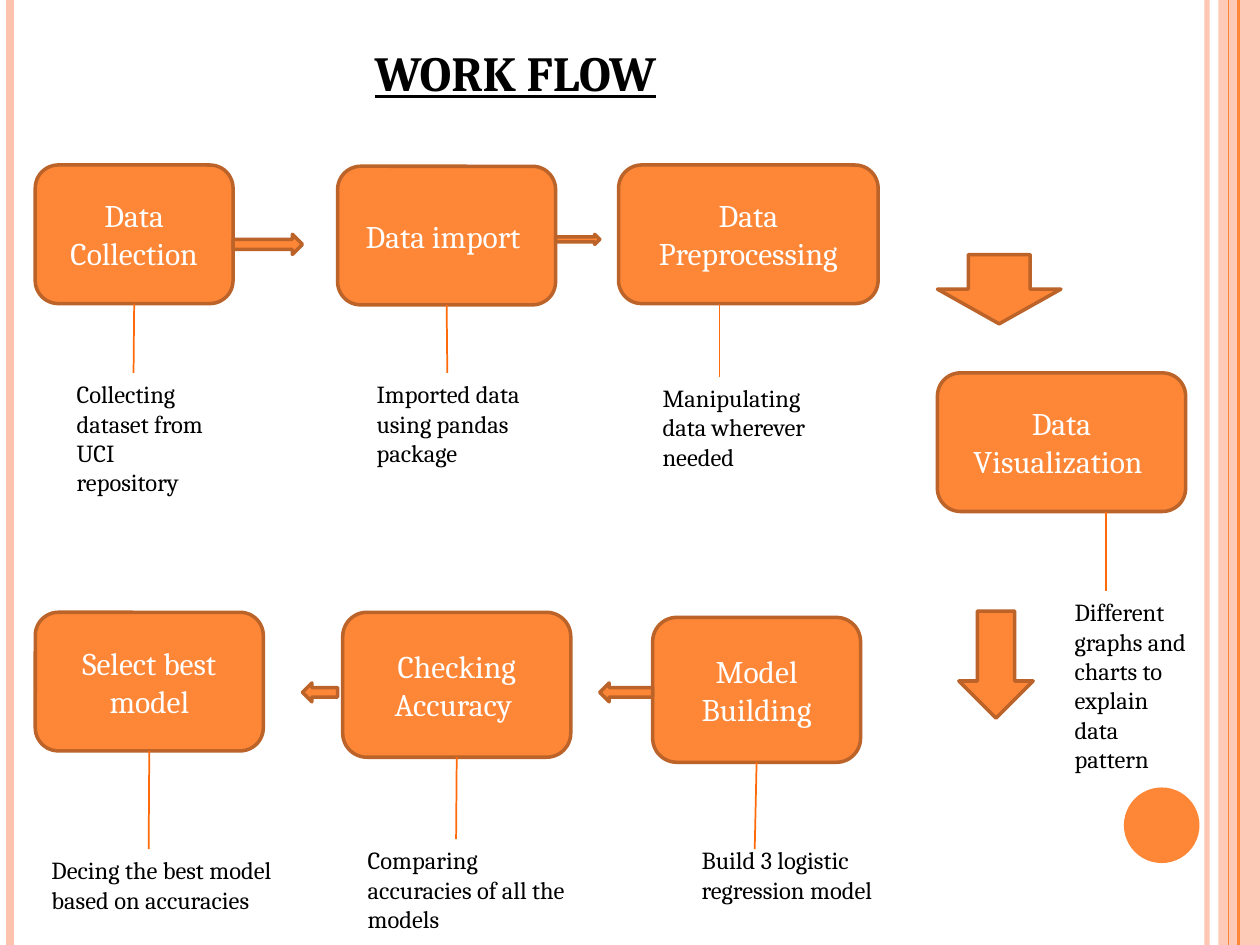
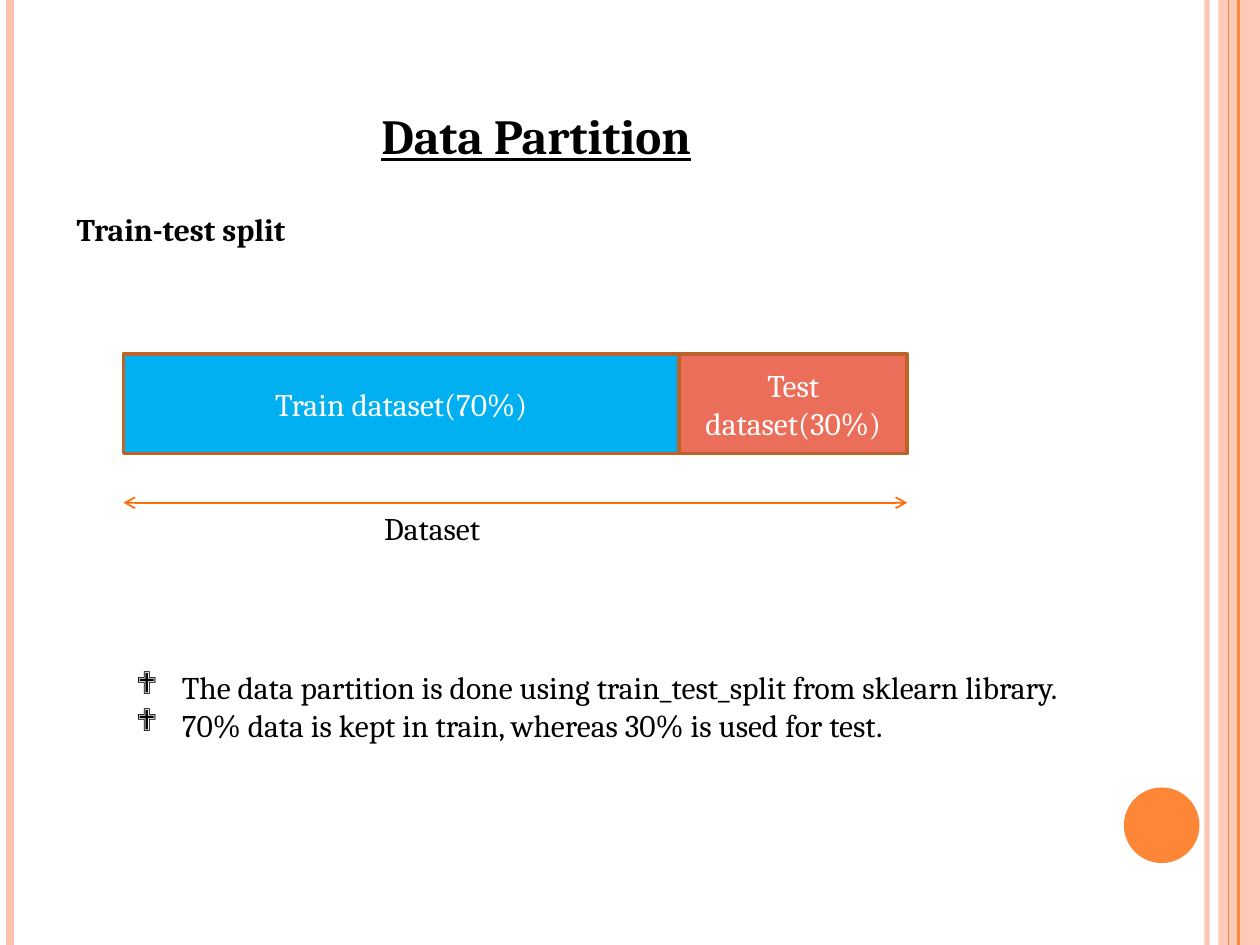
from dataclasses import dataclass
from typing import Optional

from pptx import Presentation
from pptx.dml.color import RGBColor as RGB
from pptx.enum.shapes import MSO_CONNECTOR as Link, MSO_SHAPE as Kind
from pptx.enum.text import MSO_ANCHOR as Anchor, MSO_AUTO_SIZE as Fit, PP_ALIGN as Align
from pptx.oxml.ns import qn
from pptx.util import Inches, Pt
from lxml.etree import SubElement as add_node

HUES = {
    "black": "000000", "white": "FFFFFF", "main": "FE8637", "edge": "BC6329",
    "pale": "FEC3AE", "link": "FF6B0A", "train": "00B0F0", "test": "EB6E5A",
}
FONT = "Cambria"
WIDE, HIGH = 10, 7.5
BOTTOM = 2  # connection site


@dataclass
class Box:
    left: float
    top: float
    width: float
    height: float


@dataclass
class Rule:
    left: float
    hue: str
    weight: float
    alpha: Optional[int] = None


@dataclass
class Step:
    """A stage of the flow; its line drops to the note, from `drop` if off centre."""
    text: str
    box: Box
    note: str
    spot: Box
    end: tuple[float, float]
    drop: Optional[float] = None


@dataclass
class Arrow:
    kind: Kind
    box: Box


RULES = [Rule(9.58, "pale", 3, 93), Rule(0.08, "pale", 4.5),
         Rule(9.83, "main", 1.5), Rule(9.75, "main", 0.75)]

STEPS = [
    Step("Data Collection", Box(0.28, 1.31, 1.57, 1.1),
         "Collecting dataset from UCI repository", Box(0.51, 2.96, 1.26, 1.04), (1.06, 2.96)),
    Step("Data import ", Box(2.68, 1.32, 1.73, 1.1),
         "Imported data using pandas package", Box(2.89, 2.96, 1.46, 1.04), (3.55, 2.96)),
    Step("Data Preprocessing", Box(4.91, 1.31, 2.06, 1.1),
         "Manipulating data wherever needed", Box(5.16, 2.99, 1.39, 1.04), (5.71, 2.99), 5.71),
    Step("Data Visualization ", Box(7.44, 2.96, 1.97, 1.1),
         "Different graphs and charts to explain data pattern",
         Box(8.43, 4.69, 1.14, 1.75), (8.78, 4.69), 8.78),
    Step("Model Building", Box(5.18, 4.9, 1.65, 1.15),
         "Build 3 logistic regression model", Box(5.47, 6.66, 1.73, 0.57), (5.99, 6.74)),
    Step("Checking Accuracy ", Box(2.72, 4.86, 1.81, 1.15),
         "Comparing accuracies of all the models", Box(2.82, 6.66, 1.87, 0.81), (3.62, 6.66)),
    Step("Select best model", Box(0.28, 4.86, 1.81, 1.1),
         "Decing the best model based on accuracies", Box(0.31, 6.74, 2.01, 0.81), (1.18, 6.74)),
]

ARROWS = [
    Arrow(Kind.RIGHT_ARROW, Box(1.85, 1.86, 0.55, 0.16)),
    Arrow(Kind.RIGHT_ARROW, Box(4.41, 1.86, 0.35, 0.08)),
    Arrow(Kind.DOWN_ARROW, Box(7.44, 2.02, 0.98, 0.55)),
    Arrow(Kind.DOWN_ARROW, Box(7.61, 4.85, 0.59, 0.85)),
    Arrow(Kind.LEFT_ARROW, Box(4.76, 5.42, 0.42, 0.15)),
    Arrow(Kind.LEFT_ARROW, Box(2.4, 5.42, 0.28, 0.15)),
]

POINTS = [" The data partition is done using train_test_split from sklearn library.",
          " 70% data is kept in train, whereas 30% is used for test."]


# Shared helpers
def color(name: str) -> RGB:
    return RGB.from_string(HUES[name])


def place(box: Box) -> tuple:
    return Inches(box.left), Inches(box.top), Inches(box.width), Inches(box.height)


def fade(item, alpha: int) -> None:
    """Set the opacity, in percent, of the item's own colour."""
    node = item.element.spPr.xpath(".//a:srgbClr")[0]
    add_node(node, qn("a:alpha"), val=str(alpha * 1000))


def add_run(para, text: str, size: int, hue: str = "black",
            bold: bool = False, under: bool = False) -> None:
    run = para.add_run()
    run.text = text
    font = run.font
    font.name, font.size = FONT, Pt(size)
    font.color.rgb = color(hue)
    if bold:
        font.bold = True
    if under:
        font.underline = True


def add_form(slide, kind: Kind, box: Box, hue: str = "main",
             edge: bool = True, text: str = ""):
    form = slide.shapes.add_shape(kind, *place(box))
    form.shadow.inherit = False
    form.fill.solid()
    form.fill.fore_color.rgb = color(hue)
    if edge:
        form.line.color.rgb = color("edge")
        form.line.width = Pt(2)
    else:
        form.line.fill.background()
    if text:
        frame = form.text_frame
        frame.word_wrap = True
        frame.vertical_anchor = Anchor.MIDDLE
        para = frame.paragraphs[0]
        para.alignment = Align.CENTER
        add_run(para, text, 18, "white")
    return form


def add_line(slide, start: tuple, end: tuple, hue: str = "link", weight: float = 1):
    line = slide.shapes.add_connector(
        Link.STRAIGHT, *(Inches(value) for value in (*start, *end)))
    line.line.color.rgb = color(hue)
    line.line.width = Pt(weight)
    add_node(line.element.spPr, qn("a:effectLst"))
    return line


def add_frame(slide, box: Box):
    frame = slide.shapes.add_textbox(*place(box)).text_frame
    frame.word_wrap = True
    frame.auto_size = Fit.SHAPE_TO_FIT_TEXT
    return frame


def add_text(slide, box: Box, text: str, size: int, bold: bool = False) -> None:
    add_run(add_frame(slide, box).paragraphs[0], text, size, bold=bold)


def add_title(slide, box: Box, text: str) -> None:
    para = add_frame(slide, box).paragraphs[0]
    para.alignment = Align.CENTER
    add_run(para, text, 28, bold=True, under=True)


def add_bullet(para) -> None:
    props = para._p.get_or_add_pPr()
    indent = Inches(0.31)
    props.set("marL", str(indent))
    props.set("indent", str(-indent))
    add_node(props, qn("a:buFont"), typeface="Wingdings")
    add_node(props, qn("a:buChar"), char="❖")


def new_slide(deck):
    """Blank slide with the side bands and the corner disc."""
    slide = deck.slides.add_slide(deck.slide_layouts[6])
    band = add_form(slide, Kind.RECTANGLE, Box(9.67, 0, 0.33, HIGH), "pale", edge=False)
    fade(band, 87)
    for rule in RULES:
        line = add_line(slide, (rule.left, 0), (rule.left, HIGH), rule.hue, rule.weight)
        if rule.alpha:
            fade(line, rule.alpha)
    add_form(slide, Kind.OVAL, Box(8.92, 6.25, 0.6, 0.6), edge=False)
    return slide


# Slide 1: work flow
def add_step(slide, step: Step) -> None:
    box = step.box
    form = add_form(slide, Kind.ROUNDED_RECTANGLE, box, text=step.text)
    add_text(slide, step.spot, step.note, 14)
    start = step.drop or box.left + box.width / 2
    line = add_line(slide, (start, box.top + box.height), step.end)
    if step.drop is None:
        line.begin_connect(form, BOTTOM)


def draw_flow(deck) -> None:
    slide = new_slide(deck)
    add_title(slide, Box(2.32, 0.29, 3.54, 0.57), "WORK FLOW")
    for step in STEPS:
        add_step(slide, step)
    for arrow in ARROWS:
        add_form(slide, arrow.kind, arrow.box)


# Slide 2: data partition
def draw_split(deck) -> None:
    slide = new_slide(deck)
    add_title(slide, Box(1.3, 0.79, 5.91, 0.57), "Data Partition")
    add_text(slide, Box(0.51, 1.62, 3.86, 0.4), "Train-test split", 18, bold=True)

    # Two bars side by side
    left = edge = 0.98
    for text, width, hue in (("Train dataset(70%)", 4.41, "train"),
                             ("Test dataset(30%)", 1.81, "test")):
        add_form(slide, Kind.RECTANGLE, Box(edge, 2.81, width, 0.79), hue, text=text)
        edge += width

    # Span of the whole set
    span = add_line(slide, (left, 3.99), (edge, 3.99))
    stroke = span.element.spPr.xpath("a:ln")[0]
    for tip in ("a:headEnd", "a:tailEnd"):
        add_node(stroke, qn(tip), type="arrow")
    add_text(slide, Box(2.95, 3.99, 2.05, 0.4), "Dataset", 18)

    # Bullet points
    frame = add_frame(slide, Box(left, 5.25, 7.64, 1.01))
    for index, point in enumerate(POINTS):
        para = frame.add_paragraph() if index else frame.paragraphs[0]
        add_bullet(para)
        add_run(para, point, 18)


def main() -> None:
    deck = Presentation()
    deck.slide_width, deck.slide_height = Inches(WIDE), Inches(HIGH)
    draw_flow(deck)
    draw_split(deck)
    deck.save("out.pptx")


if __name__ == "__main__":
    main()
